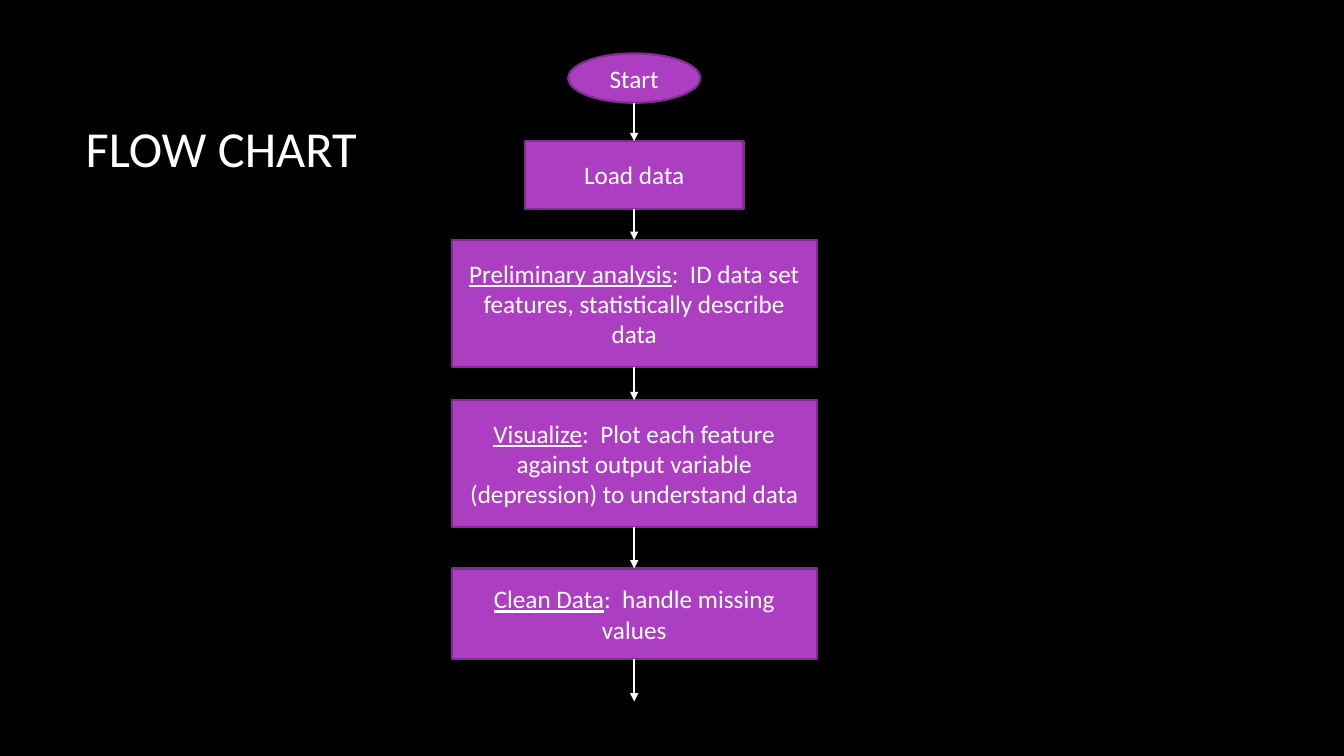
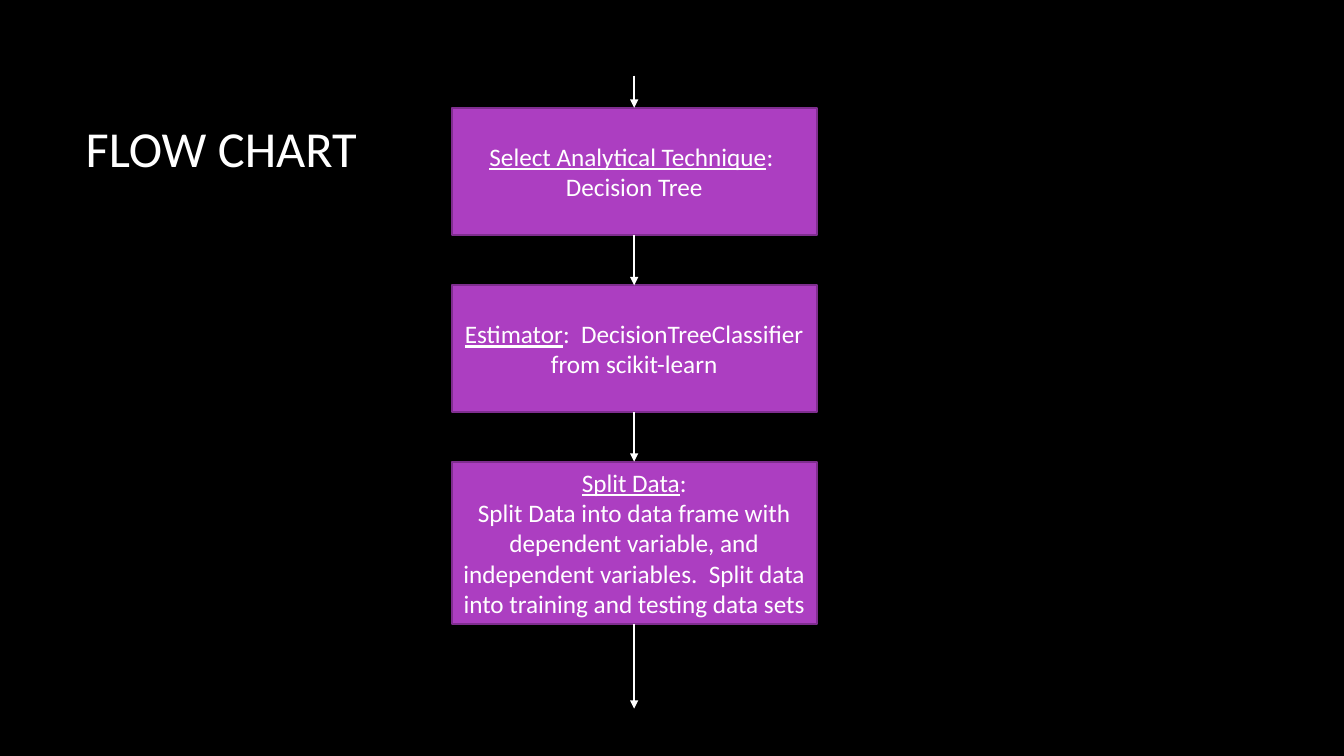
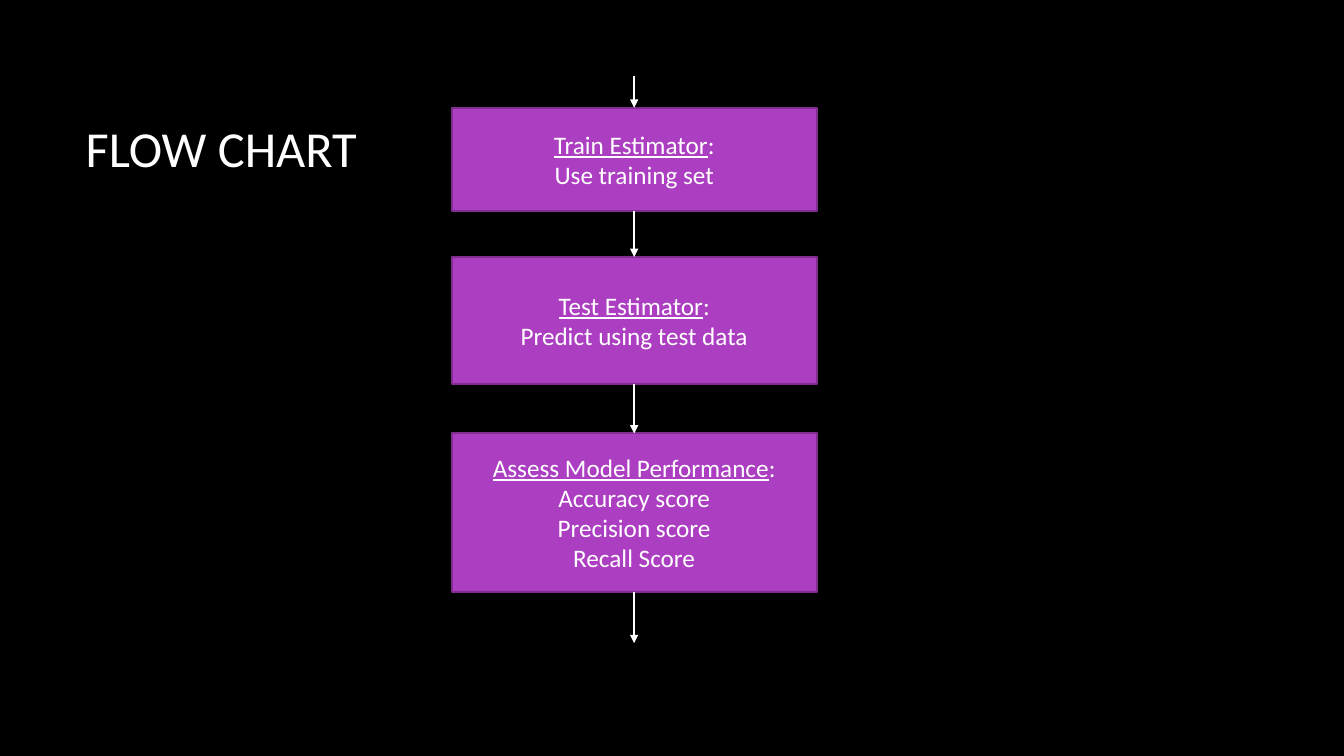
from lxml import etree
from pptx import Presentation
from pptx.dml.color import RGBColor
from pptx.enum.shapes import MSO_CONNECTOR, MSO_SHAPE
from pptx.enum.text import MSO_ANCHOR, PP_ALIGN
from pptx.oxml.ns import qn
from pptx.util import Inches, Pt

RECT, OVAL = MSO_SHAPE.RECTANGLE, MSO_SHAPE.OVAL
STRAIGHT = MSO_CONNECTOR.STRAIGHT
LEFT, CENTER = PP_ALIGN.LEFT, PP_ALIGN.CENTER
MIDDLE = MSO_ANCHOR.MIDDLE

BLACK = RGBColor(0x00, 0x00, 0x00)
WHITE = RGBColor(0xFF, 0xFF, 0xFF)
PURPLE = RGBColor(0xAC, 0x3E, 0xC1)
DARK_PURPLE = RGBColor(0x7F, 0x2E, 0x8F)

FONT = "Calibri"
LINE_WIDTH = Pt(1.5)
AXIS = 6.29  # horizontal centre of the flow
WIDE = 3.62  # width of a normal step
TOP, BOTTOM = 0, 2  # connection sites of a rectangle

# Each page: start of the incoming arrow, steps, end of the outgoing arrow.
# Each step: shape, top, width, height, underlined heading, text lines.
PAGES = [
    (None, [
        (OVAL, 0.53, 1.31, 0.49, "", ["Start"]),
        (RECT, 1.4, 2.17, 0.67, "", ["Load data"]),
        (RECT, 2.38, WIDE, 1.26, "Preliminary analysis",
         [":  ID data set features, statistically describe data"]),
        (RECT, 3.97, WIDE, 1.26, "Visualize",
         [":  Plot each feature against output variable (depression) to understand data"]),
        (RECT, 5.64, WIDE, 0.9, "Clean Data", [":  handle missing values"]),
    ], 6.96),
    (0.75, [
        (RECT, 1.07, WIDE, 1.26, "Select Analytical Technique", [":  Decision Tree"]),
        (RECT, 2.83, WIDE, 1.26, "Estimator",
         [":  DecisionTreeClassifier from scikit-learn"]),
        (RECT, 4.58, WIDE, 1.61, "Split Data",
         [":", "Split Data into data frame with dependent variable, and independent "
               "variables.  Split data into training and testing data sets"]),
    ], 7.03),
    (0.75, [
        (RECT, 1.07, WIDE, 1.02, "Train Estimator", [":", "Use training set"]),
        (RECT, 2.55, WIDE, 1.26, "Test Estimator", [":", "Predict using test data"]),
        (RECT, 4.3, WIDE, 1.57, "Assess Model Performance",
         [":", "Accuracy score", "Precision score", "Recall Score"]),
    ], 6.38),
]


def write_text(frame, lines, heading="", size=18, align=CENTER):
    """Fill a frame with one paragraph per line, after an underlined heading."""
    frame.word_wrap = True
    frame.vertical_anchor = MIDDLE
    for index, line in enumerate(lines):
        paragraph = frame.paragraphs[0] if index == 0 else frame.add_paragraph()
        paragraph.alignment = align
        parts = [(line, False)]
        if heading and index == 0:
            parts.insert(0, (heading, True))
        for text, underlined in parts:
            run = paragraph.add_run()
            run.text = text
            run.font.name = FONT
            run.font.size = Pt(size)
            run.font.color.rgb = WHITE
            run.font.underline = underlined


def add_arrow(slide, start, end):
    """Draw a downward arrow on the flow axis."""
    arrow = slide.shapes.add_connector(
        STRAIGHT, Inches(AXIS), Inches(start), Inches(AXIS), Inches(end))
    arrow.line.color.rgb = WHITE
    arrow.line.width = LINE_WIDTH
    etree.SubElement(arrow.line._get_or_add_ln(), qn("a:tailEnd"), type="triangle")
    etree.SubElement(arrow._element.spPr, qn("a:effectLst"))


prs = Presentation()
prs.slide_width = Inches(13.33)
prs.slide_height = Inches(7.5)

# Shared black background
background = prs.slide_master.background.fill
background.solid()
background.fore_color.rgb = BLACK

# Shared title position
title_only = prs.slide_layouts[5]
layout_title = title_only.placeholders[0]
layout_title.left, layout_title.top = Inches(0.75), Inches(0.67)
layout_title.width, layout_title.height = Inches(11.08), Inches(1.59)

for arrow_start, steps, arrow_end in PAGES:
    slide = prs.slides.add_slide(title_only)
    write_text(slide.shapes.title.text_frame, ["FLOW CHART"], size=36, align=LEFT)

    # Steps, each with the arrow that leads into it
    for kind, top, width, height, heading, lines in steps:
        step = slide.shapes.add_shape(
            kind, Inches(AXIS - width / 2), Inches(top), Inches(width), Inches(height))
        step.shadow.inherit = False
        step.fill.solid()
        step.fill.fore_color.rgb = PURPLE
        step.line.color.rgb = DARK_PURPLE
        step.line.width = LINE_WIDTH
        write_text(step.text_frame, lines, heading)
        if arrow_start is not None:
            add_arrow(slide, arrow_start, top)
        arrow_start = top + height

    # Arrow that leads off the page
    add_arrow(slide, arrow_start, arrow_end)

prs.save("out.pptx")
